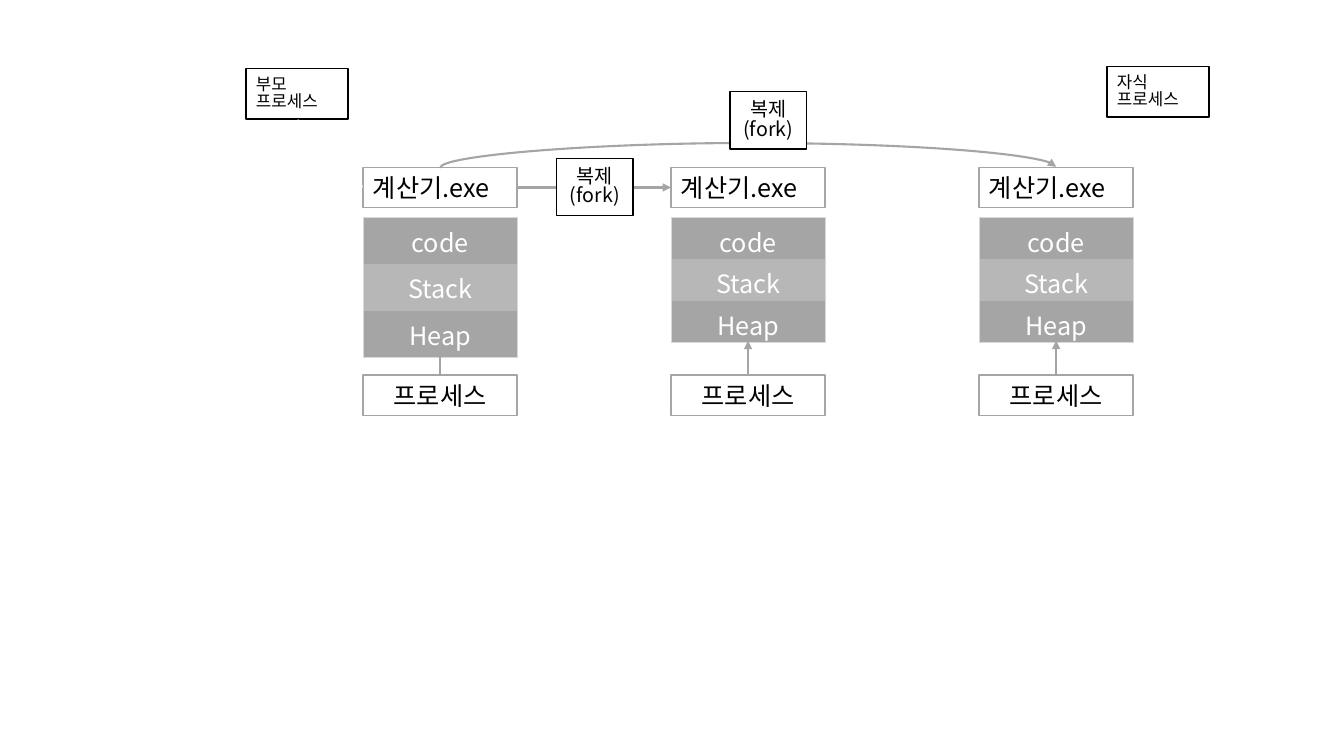
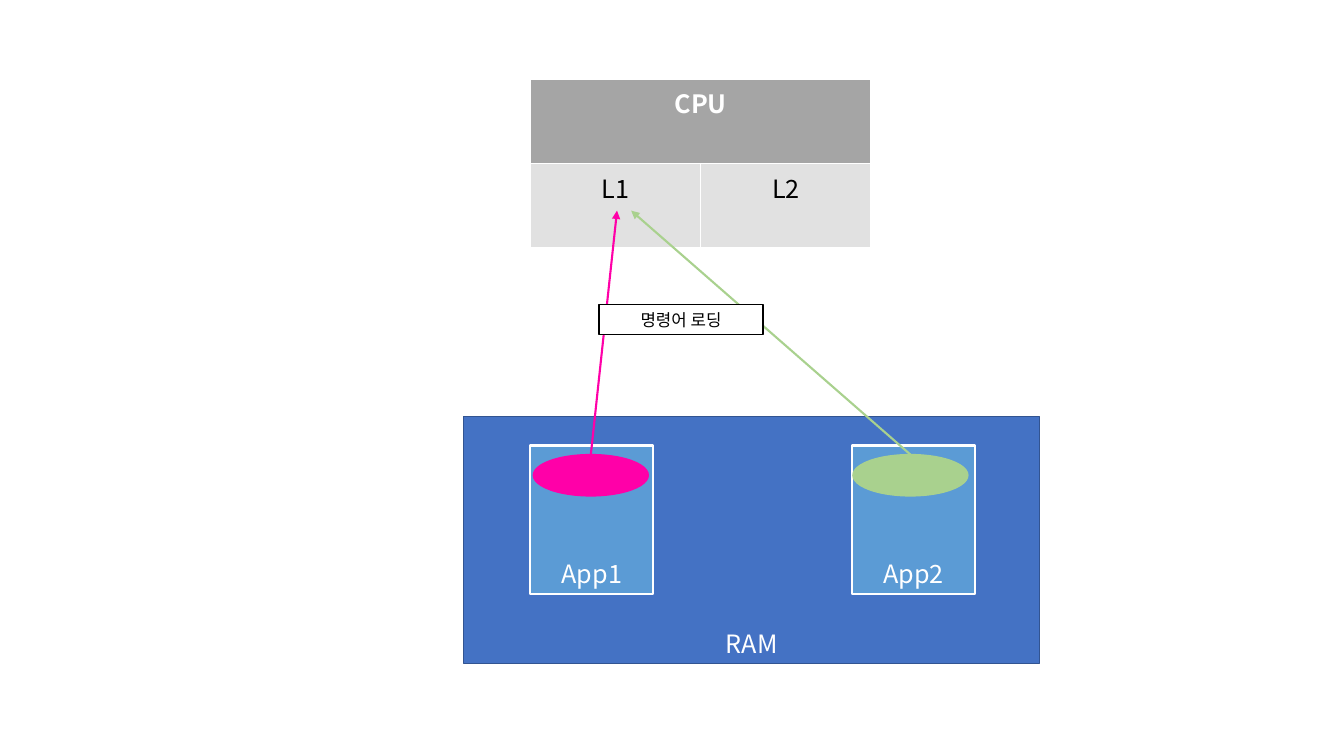
from lxml import etree
from pptx import Presentation
from pptx.dml.color import RGBColor
from pptx.enum import shapes, text
from pptx.oxml import ns
from pptx.util import Inches, Pt

FONT = "Noto Sans CJK KR"
COLORS = {
    "white": "FFFFFF", "black": "000000", "gray": "A5A5A5", "mid": "B7B7B7",
    "edge": "D8D8D8", "cache": "E1E1E1", "ram": "4472C4", "ram_edge": "325491",
    "app": "5B9BD5", "pink": "FF00A8", "green": "A9D18E",
}
RECT, OVAL = shapes.MSO_SHAPE.RECTANGLE, shapes.MSO_SHAPE.OVAL
CENTER, LEFT = text.PP_ALIGN.CENTER, text.PP_ALIGN.LEFT
MIDDLE, BOTTOM = text.MSO_ANCHOR.MIDDLE, text.MSO_ANCHOR.BOTTOM


def rgb(name):
    return RGBColor.from_string(COLORS[name])


def sub(parent, tag, **attrs):
    return etree.SubElement(parent, ns.qn(tag), attrs)


# Shared parts
def write(tf, lines, size, color, align=CENTER, bold=False):
    tf.text = "\n".join(lines)
    for p in tf.paragraphs:
        p.alignment = align
        p.font.size, p.font.bold = Pt(size), bold
        p.font.color.rgb = rgb(color)
        if len(lines) > 1:
            p.line_spacing = 0.83
        for r in p.runs:
            r.font.name = FONT
            sub(r._r.get_or_add_rPr(), "a:ea", typeface=FONT)


def add_box(s, box, lines=(), size=18, fill="white", line="gray", width=1,
            color="black", align=CENTER, anchor=MIDDLE, kind=RECT):
    sp = s.shapes.add_shape(kind, *map(Inches, box))
    sp.shadow.inherit = False
    sp.fill.solid()
    sp.fill.fore_color.rgb = rgb(fill)
    sp.line.color.rgb = rgb(line)
    sp.line.width = Pt(width)
    if lines:
        tf = sp.text_frame
        tf.word_wrap = True
        tf.vertical_anchor = anchor
        write(tf, lines, size, color, align)
    return sp


def add_arrow(s, start, end, color="gray", kind=shapes.MSO_CONNECTOR.STRAIGHT):
    cx = s.shapes.add_connector(kind, *map(Inches, start + end))
    cx.line.color.rgb = rgb(color)
    cx.line.width = Pt(1.5)
    sub(cx.line._get_or_add_ln(), "a:tailEnd", type="triangle")
    sub(cx._element.spPr, "a:effectLst")
    return cx


def add_cell(cell, label, fill, color="white", bold=False):
    cell.fill.solid()
    cell.fill.fore_color.rgb = rgb(fill)
    write(cell.text_frame, [label], 18, color, bold=bold)


def set_borders(cell, sides):
    tc_pr = cell._tc.get_or_add_tcPr()
    for i, side in enumerate("LRTB"):
        ln = sub(tc_pr, "a:ln" + side, w=str(Pt(0.5)))
        if side in sides:
            sub(sub(ln, "a:solidFill"), "a:srgbClr", val=COLORS["edge"])
        else:
            sub(ln, "a:noFill")
        tc_pr.insert(i, ln)


# Slide 1: forked processes
def memory_table(s, x, y, w, row_h, bottom):
    parts = ["code", "Stack", "Heap"]
    frame = s.shapes.add_table(len(parts), 1, *map(Inches, (x, y, w, row_h * len(parts))))
    table = frame.table
    table.first_row = table.horz_banding = False
    for i, part in enumerate(parts):
        cell = table.cell(i, 0)
        cell.margin_bottom = Inches(bottom)
        add_cell(cell, part, "mid" if i == 1 else "gray")
        set_borders(cell, "LR" + ("T" if i == 0 else "B" if i == 2 else ""))


def process_column(s, x, y, w, row_h=0.41, bottom=0):
    memory_table(s, x, y + 0.5, w, row_h, bottom)
    program = add_box(s, (x, y, w, 0.4), ["계산기.exe"], align=LEFT)
    add_box(s, (x, y + 2.06, w, 0.4), ["프로세스"])
    add_arrow(s, (x + w / 2, y + 2.06), (x + w / 2, y + 1.72))
    return program


def fork_arc(s, parent, child, x1, x2, y):
    cx = add_arrow(s, (x1, y), (x2, y), kind=shapes.MSO_CONNECTOR.CURVE)
    cx.begin_connect(parent, 0)
    cx.end_connect(child, 0)
    # A thin box on its side makes the arc rise 25 times its width
    thin, span = 0.01, x2 - x1
    cx.left, cx.top = Inches((x1 + x2 - thin) / 2), Inches(y - span / 2)
    cx.width, cx.height = Inches(thin), Inches(span)
    cx.rotation = 90
    xfrm = cx._element.spPr.find(ns.qn("a:xfrm"))
    xfrm.set("rot", str(90 * 60000))
    xfrm.set("flipH", "1")
    xfrm.set("flipV", "1")
    geom = cx._element.spPr.find(ns.qn("a:prstGeom"))
    guides = geom.find(ns.qn("a:avLst"))
    if guides is None:
        guides = sub(geom, "a:avLst")
    sub(guides, "a:gd", name="adj1", fmla="val 2500000")


def fork_slide(s):
    x, y, w, step = 3.6, 1.66, 1.53, 3.055
    parent = process_column(s, x, y, w, 0.46, 0.05)
    process_column(s, x + step, y, w)
    child = process_column(s, x + 2 * step, y, w)

    # Fork arrows and their labels
    fork_arc(s, parent, child, x + w / 2, x + 2 * step + w / 2, y)
    add_arrow(s, (x + w, y + 0.2), (x + step, y + 0.2))
    for left, top in ((5.52, 1.57), (7.24, 0.91)):
        add_box(s, (left, top, 0.76, 0.57), ["복제", "(fork)"], 14, line="black")

    # Role labels
    for left, top, role in ((2.44, 0.68, "부모"), (10.98, 0.66, "자식")):
        add_box(s, (left, top, 1.01, 0.5), [role, "프로세스"], 12,
                line="black", align=LEFT)
    add_arrow(s, (2.95, 1.19), (x, y + 0.2), "white")


# Slide 2: loading instructions from RAM
def cpu_table(s, x, y, w, h):
    table = s.shapes.add_table(2, 2, *map(Inches, (x, y, w, h))).table
    table.cell(0, 0).merge(table.cell(0, 1))
    add_cell(table.cell(0, 0), "CPU", "gray", bold=True)
    for i, cache in enumerate(("L1", "L2")):
        add_cell(table.cell(1, i), cache, "cache", "black")


def app(s, x, y, name, oval_x, color, target):
    add_box(s, (x, y, 1.22, 1.47), [name], fill="app", line="white", width=1.5,
            color="white", anchor=BOTTOM)
    add_box(s, (oval_x, y + 0.09, 1.14, 0.41), fill=color, line=color, kind=OVAL)
    add_arrow(s, (oval_x + 0.57, y + 0.09), target, color)


def loading_slide(s):
    cpu_table(s, 5.26, 0.79, 3.38, 1.67)
    add_box(s, (4.6, 4.13, 5.71, 2.45), ["RAM"], fill="ram", line="ram_edge",
            color="white", anchor=BOTTOM)
    app(s, 5.26, 4.42, "App1", 5.29, "pink", (6.12, 2.09))
    app(s, 8.45, 4.42, "App2", 8.46, "green", (6.26, 2.09))
    add_box(s, (5.94, 3.02, 1.63, 0.3), ["명령어 로딩"], 12, line="black")


prs = Presentation()
prs.slide_width, prs.slide_height = Inches(13.33), Inches(7.5)
for build in (fork_slide, loading_slide):
    build(prs.slides.add_slide(prs.slide_layouts[6]))
prs.save("out.pptx")
